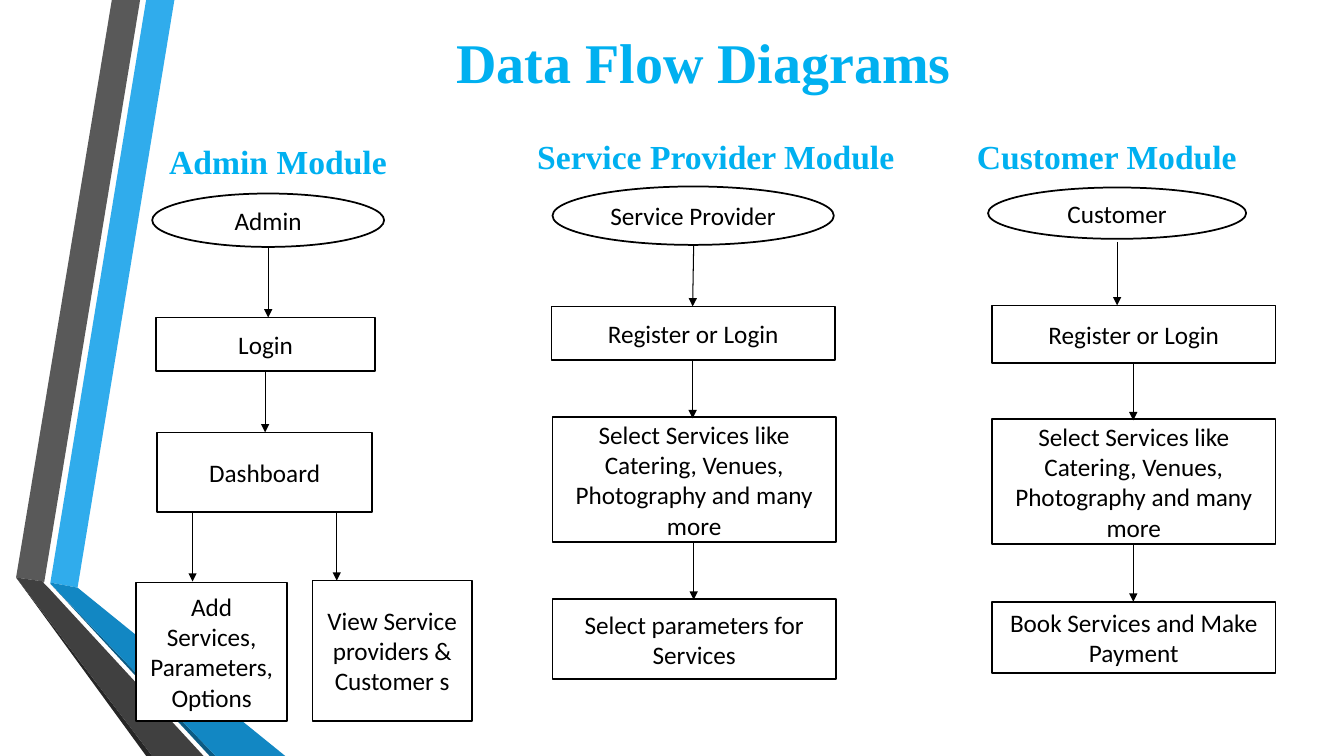
from typing import NamedTuple

from lxml.etree import SubElement
from pptx import Presentation
from pptx.dml.color import RGBColor
from pptx.enum.shapes import MSO_CONNECTOR, MSO_SHAPE
from pptx.enum.text import MSO_ANCHOR, MSO_AUTO_SIZE, PP_ALIGN
from pptx.oxml.ns import qn
from pptx.slide import Slide
from pptx.text.text import TextFrame
from pptx.util import Pt

PX = 9144
WHITE = RGBColor(0xFF, 0xFF, 0xFF)
BLACK = RGBColor(0x00, 0x00, 0x00)
SKY = RGBColor(0x00, 0xB0, 0xF0)
BAND_BLUE = RGBColor(0x30, 0xAC, 0xEC)
BAND_GRAY = RGBColor(0x59, 0x59, 0x59)
EDGE_GRAY = RGBColor(0x26, 0x26, 0x26)
EDGE_BLUE = RGBColor(0x0C, 0x5A, 0x82)
FOLD_BLUE = RGBColor(0x12, 0x87, 0xC3)
FOLD_GRAY = RGBColor(0x40, 0x40, 0x40)
HEADING_FONT = "Times New Roman"
BODY_FONT = "Calibri"
OVAL = MSO_SHAPE.OVAL
RECTANGLE = MSO_SHAPE.RECTANGLE


class Band(NamedTuple):
    color: RGBColor
    points: list[tuple[int, int]]


class Heading(NamedTuple):
    text: str
    left: int
    top: int
    width: int


class Node(NamedTuple):
    text: str
    left: int
    top: int
    width: int
    height: int
    shape: MSO_SHAPE = RECTANGLE


class Arrow(NamedTuple):
    start: tuple[int, int]
    end: tuple[int, int]


BANDS = [
    Band(BAND_BLUE, [(50, 578), (77, 583), (173, 0), (145, 0)]),
    Band(BAND_GRAY, [(139, 0), (111, 0), (16, 573), (44, 577)]),
    Band(EDGE_GRAY, [(16, 573), (145, 750), (151, 750)]),
    Band(EDGE_BLUE, [(50, 579), (208, 750), (214, 750)]),
    Band(FOLD_BLUE, [(50, 579), (214, 750), (283, 750), (77, 583), (50, 578)]),
    Band(FOLD_GRAY, [(202, 750), (48, 583), (43, 578), (44, 577), (16, 573), (151, 750)]),
]

HEADINGS = [
    Heading("Admin Module", 158, 122, 316),
    Heading("Service Provider Module", 523, 117, 378),
    Heading("Customer Module", 959, 117, 349),
]

SERVICES = "Select Services like Catering, Venues, Photography and many more"

NODES = [
    Node("Admin", 151, 192, 230, 53, OVAL),
    Node("Login", 155, 315, 217, 53),
    Node("Dashboard", 156, 429, 213, 79),
    Node("Add Services, Parameters,\nOptions", 135, 578, 150, 137),
    Node("View Service providers & Customer s", 310, 576, 158, 139),
    Node("Service Provider", 548, 185, 279, 58, OVAL),
    Node("Register or Login", 547, 304, 281, 53),
    Node(SERVICES, 548, 414, 281, 124),
    Node("Select parameters for Services", 548, 594, 281, 80),
    Node("Customer", 980, 186, 256, 51, OVAL),
    Node("Register or Login", 984, 303, 281, 57),
    Node(SERVICES, 984, 416, 281, 124),
    Node("Book Services and Make Payment", 984, 597, 281, 71),
]

ARROWS = [
    Arrow((266, 245), (266, 315)),
    Arrow((263, 368), (263, 429)),
    Arrow((191, 508), (191, 577)),
    Arrow((334, 508), (334, 576)),
    Arrow((688, 243), (687, 304)),
    Arrow((687, 358), (687, 415)),
    Arrow((688, 538), (688, 595)),
    Arrow((1108, 240), (1108, 303)),
    Arrow((1124, 360), (1124, 417)),
    Arrow((1124, 540), (1124, 597)),
]


def write(frame: TextFrame, text: str, *, font: str = BODY_FONT, size: int = 18,
          color: RGBColor = BLACK, bold: bool = False,
          align: PP_ALIGN = PP_ALIGN.CENTER,
          anchor: MSO_ANCHOR = MSO_ANCHOR.MIDDLE) -> None:
    frame.word_wrap = True
    frame.auto_size = MSO_AUTO_SIZE.NONE
    frame.vertical_anchor = anchor
    frame.text = text
    for para in frame.paragraphs:
        para.alignment = align
        for span in para.runs:
            span.font.name = font
            span.font.size = Pt(size)
            span.font.bold = bold
            span.font.color.rgb = color


def draw_band(page: Slide, band: Band) -> None:
    start, *rest = band.points
    builder = page.shapes.build_freeform(*start, scale=PX)
    builder.add_line_segments(rest, close=True)
    shape = builder.convert_to_shape()
    shape.shadow.inherit = False
    shape.fill.solid()
    shape.fill.fore_color.rgb = band.color
    shape.line.fill.background()


def draw_title(page: Slide, text: str) -> None:
    title = page.shapes.title
    title.left, title.top = 150 * PX, 19 * PX
    title.width, title.height = 1096 * PX, 83 * PX
    write(title.text_frame, text, font=HEADING_FONT, size=40, color=SKY, bold=True)


def draw_heading(page: Slide, heading: Heading) -> None:
    box = page.shapes.add_textbox(
        heading.left * PX, heading.top * PX, heading.width * PX, 63 * PX)
    write(box.text_frame, heading.text, font=HEADING_FONT, size=24, color=SKY,
          bold=True, align=PP_ALIGN.LEFT, anchor=MSO_ANCHOR.BOTTOM)


def draw_node(page: Slide, node: Node) -> None:
    box = page.shapes.add_shape(
        node.shape, node.left * PX, node.top * PX, node.width * PX, node.height * PX)
    box.shadow.inherit = False
    box.fill.solid()
    box.fill.fore_color.rgb = WHITE
    box.line.color.rgb = BLACK
    box.line.width = Pt(1.25)
    write(box.text_frame, node.text)


def draw_arrow(page: Slide, arrow: Arrow) -> None:
    ends = [value * PX for value in (*arrow.start, *arrow.end)]
    connector = page.shapes.add_connector(MSO_CONNECTOR.STRAIGHT, *ends)
    connector.line.color.rgb = BLACK
    connector.line.width = Pt(0.75)
    properties = connector.element.spPr
    SubElement(properties.find(qn("a:ln")), qn("a:tailEnd"), type="triangle")
    SubElement(properties, qn("a:effectLst"))


def main() -> None:
    deck = Presentation()
    deck.slide_width, deck.slide_height = 1333 * PX, 750 * PX
    page = deck.slides.add_slide(deck.slide_layouts.get_by_name("Title Only"))
    for band in BANDS:
        draw_band(page, band)
    draw_title(page, "Data Flow Diagrams")
    for heading in HEADINGS:
        draw_heading(page, heading)
    for node in NODES:
        draw_node(page, node)
    for arrow in ARROWS:
        draw_arrow(page, arrow)
    deck.save("out.pptx")


if __name__ == "__main__":
    main()
